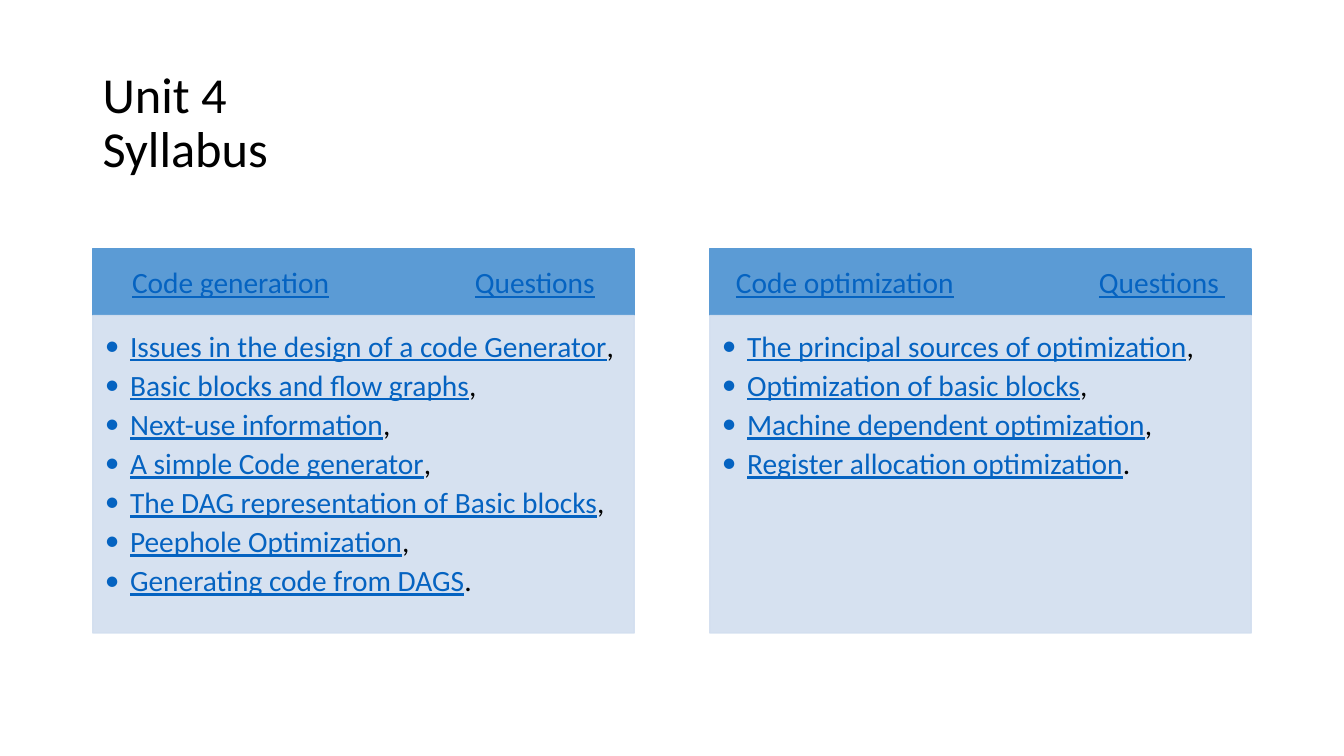
import pptx
import pptx.util
import pptx.dml.color
import pptx.enum.shapes
import pptx.enum.text
import pptx.oxml.ns
import lxml.etree

Inches = pptx.util.Inches
Pt = pptx.util.Pt
qn = pptx.oxml.ns.qn

COLORS = {"header": "5B9BD5", "panel": "D2DEEF", "link": "0563C1", "text": "000000"}
FONT = "Calibri"

cards = [
    {
        "left": 0.92, "margin": 0.39, "tab": 3.4,
        "heading": "Code generation", "questions": "Questions",
        "topics": [
            "Issues in the design of a code Generator",
            "Basic blocks and flow graphs",
            "Next-use information",
            "A simple Code generator",
            "The DAG representation of Basic blocks",
            "Peephole Optimization",
            "Generating code from DAGS",
        ],
    },
    {
        "left": 7.04, "margin": 0.26, "tab": 3.6,
        "heading": "Code optimization", "questions": "Questions ",
        "topics": [
            "The principal sources of optimization",
            "Optimization of basic blocks",
            "Machine dependent optimization",
            "Register allocation optimization",
        ],
    },
]


def add_block(left, top, height, color, margins, anchor):
    block = page.shapes.add_shape(
        pptx.enum.shapes.MSO_SHAPE.RECTANGLE,
        Inches(left), Inches(top), Inches(5.37), Inches(height))
    block.shadow.inherit = False
    block.fill.solid()
    block.fill.fore_color.rgb = pptx.dml.color.RGBColor.from_string(COLORS[color])
    block.line.color.rgb = pptx.dml.color.RGBColor.from_string(COLORS[color])
    block.line.width = Pt(1)
    frame = block.text_frame
    frame.word_wrap = True
    frame.vertical_anchor = anchor
    frame.margin_left, frame.margin_top, frame.margin_right, frame.margin_bottom = map(Inches, margins)
    return block


def add_span(para, text, color, underline):
    span = para.add_run()
    span.text = text
    span.font.color.rgb = pptx.dml.color.RGBColor.from_string(COLORS[color])
    span.font.underline = underline


deck = pptx.Presentation()
deck.slide_width = Inches(13.33)
deck.slide_height = Inches(7.5)
page = deck.slides.add_slide(deck.slide_layouts[6])

title = page.shapes.add_textbox(Inches(0.92), Inches(0.61), Inches(11.5), Inches(1.24))
title.text_frame.word_wrap = True
title.text_frame.vertical_anchor = pptx.enum.text.MSO_ANCHOR.MIDDLE
para = title.text_frame.paragraphs[0]
para.text = "Unit 4\vSyllabus"
para.line_spacing = 0.9
para.font.name = FONT
para.font.size = Pt(36)
para.font.color.rgb = pptx.dml.color.RGBColor.from_string(COLORS["text"])

for card in cards:
    header = add_block(card["left"], 2.47, 0.66, "header", (card["margin"], 0.09, 0.16, 0.09),
                       pptx.enum.text.MSO_ANCHOR.MIDDLE)
    para = header.text_frame.paragraphs[0]
    para.alignment = pptx.enum.text.PP_ALIGN.LEFT
    tabs = lxml.etree.SubElement(para._p.get_or_add_pPr(), qn("a:tabLst"))
    lxml.etree.SubElement(tabs, qn("a:tab"), pos=str(Inches(card["tab"])), algn="l")
    para.font.name = FONT
    para.font.size = Pt(21)
    add_span(para, card["heading"], "link", True)
    add_span(para, "\t", "link", False)
    add_span(para, card["questions"], "link", True)

    panel = add_block(card["left"], 3.13, 3.15, "panel", (0.12, 0.12, 0.16, 0.18),
                      pptx.enum.text.MSO_ANCHOR.TOP)
    for shade in panel._element.spPr.iter(qn("a:srgbClr")):
        lxml.etree.SubElement(shade, qn("a:alpha"), val="90000")
    for index, topic in enumerate(card["topics"]):
        frame = panel.text_frame
        para = frame.add_paragraph() if index else frame.paragraphs[0]
        para.alignment = pptx.enum.text.PP_ALIGN.LEFT
        para.space_after = Pt(2.75)
        properties = para._p.get_or_add_pPr()
        properties.set("marL", str(Inches(0.25)))
        properties.set("indent", str(Inches(-0.25)))
        bullet_color = lxml.etree.SubElement(properties, qn("a:buClr"))
        lxml.etree.SubElement(bullet_color, qn("a:srgbClr"), val=COLORS["link"])
        lxml.etree.SubElement(properties, qn("a:buFont"), typeface=FONT)
        lxml.etree.SubElement(properties, qn("a:buChar"), char="•")
        para.font.name = FONT
        para.font.size = Pt(21)
        add_span(para, topic, "link", True)
        add_span(para, "." if topic == card["topics"][-1] else ",", "text", False)

deck.save("out.pptx")
